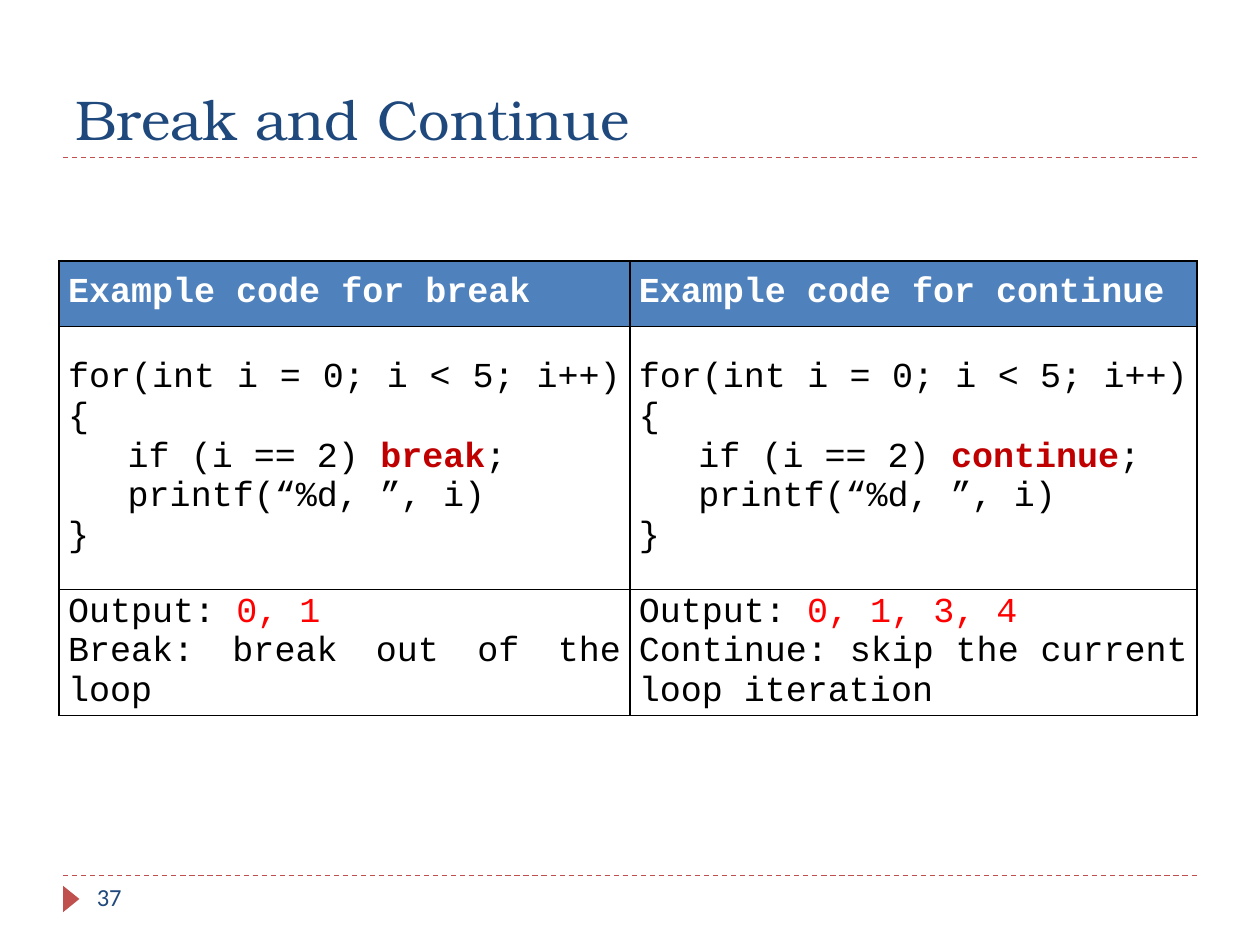
from lxml.etree import SubElement
from pptx import Presentation
from pptx.dml.color import RGBColor
from pptx.enum.dml import MSO_LINE
from pptx.enum.shapes import MSO_CONNECTOR, MSO_SHAPE
from pptx.enum.text import MSO_ANCHOR, PP_ALIGN
from pptx.oxml.ns import qn
from pptx.util import Inches, Pt

# Content: a cell is a list of paragraphs, a paragraph a list of (text, style) runs
TITLE = "Break and Continue"
PAGE_NUMBER = "37"
STYLES = {
    "heading": {"color": "FFFFFF", "bold": True},
    "code": {"color": "000000"},
    "keyword": {"color": "C00000", "bold": True},
    "result": {"color": "FF0000"},
}
EXAMPLES = [
    ("break", "0, 1", "Break: break out of the loop"),
    ("continue", "0, 1, 3, 4", "Continue: skip the current loop iteration"),
]
COLUMN_WIDTHS = [4.53, 4.5]
ROW_HEIGHTS = [0.52, 2.09, 0.95]
NAVY, RED, BLUE = "1F497D", "C0504D", "4F81BD"


def example_cells(keyword, result, meaning):
    """Return the heading, code and output cells of one column."""
    return [
        [[(f"Example code for {keyword}", "heading")]],
        [
            [("for(int i = 0; i < 5; i++){", "code")],
            [("  if (i == 2) ", "code"), (keyword, "keyword"), (";", "code")],
            [("  printf(“%d, ”, i)", "code")],
            [("}", "code")],
        ],
        [
            [("Output: ", "code"), (result, "result")],
            [(meaning, "code")],
        ],
    ]


def rgb(value):
    return RGBColor.from_string(value)


def add_run(paragraph, text, font="Courier New", size=20, color="000000", bold=False):
    run = paragraph.add_run()
    run.text = text
    run.font.name = font
    run.font.size = Pt(size)
    run.font.bold = bold
    run.font.color.rgb = rgb(color)


def add_text(slide, box, text, anchor=MSO_ANCHOR.TOP, **run_format):
    frame = slide.shapes.add_textbox(*map(Inches, box)).text_frame
    frame.word_wrap = True
    frame.vertical_anchor = anchor
    add_run(frame.paragraphs[0], text, **run_format)


def add_rule(slide, y):
    rule = slide.shapes.add_connector(
        MSO_CONNECTOR.STRAIGHT, Inches(0.5), Inches(y), Inches(9.5), Inches(y))
    rule.line.color.rgb = rgb(RED)
    rule.line.width = Pt(0.75)
    rule.line.dash_style = MSO_LINE.DASH
    SubElement(rule._element.spPr, qn("a:effectLst"))


def add_borders(cell):
    properties = cell._tc.get_or_add_tcPr()
    for position, side in enumerate(("lnL", "lnR", "lnT", "lnB")):
        line = SubElement(properties, qn(f"a:{side}"), w=str(Pt(1)))
        fill = SubElement(line, qn("a:solidFill"))
        SubElement(fill, qn("a:srgbClr"), val="000000")
        properties.insert(position, line)  # borders come before the fill


def fill_cell(cell, paragraphs, fill):
    cell.vertical_anchor = MSO_ANCHOR.MIDDLE
    cell.margin_left = cell.margin_right = Inches(0.07)
    cell.margin_top = cell.margin_bottom = 0
    if fill:
        cell.fill.solid()
        cell.fill.fore_color.rgb = rgb(fill)
    else:
        cell.fill.background()
    add_borders(cell)
    frame = cell.text_frame
    for index, runs in enumerate(paragraphs):
        paragraph = frame.add_paragraph() if index else frame.paragraphs[0]
        paragraph.alignment = PP_ALIGN.JUSTIFY
        if runs[0][0].startswith(" "):
            properties = paragraph._p.get_or_add_pPr()
            properties.set("marL", "0")
            properties.set("indent", str(Inches(0.14)))
        for text, style in runs:
            add_run(paragraph, text, **STYLES[style])


def main():
    presentation = Presentation()
    presentation.slide_width, presentation.slide_height = Inches(10), Inches(7.5)
    slide = presentation.slides.add_slide(presentation.slide_layouts[6])

    # Rules and page marker
    for y in (6.95, 1.25):
        add_rule(slide, y)
    marker = slide.shapes.add_shape(
        MSO_SHAPE.ISOSCELES_TRIANGLE, *map(Inches, (0.46, 7.07, 0.21, 0.13)))
    marker.rotation = 90
    marker.shadow.inherit = False
    marker.fill.solid()
    marker.fill.fore_color.rgb = rgb(RED)
    marker.line.fill.background()

    # Title and page number
    add_text(slide, (0.5, 0.17, 9, 1.08), TITLE, anchor=MSO_ANCHOR.BOTTOM,
             font="TeX Gyre Bonum", size=32, color=NAVY)
    add_text(slide, (0.67, 6.95, 2.17, 0.4), PAGE_NUMBER,
             font="Calibri", size=14, color=NAVY)

    # Comparison table
    table = slide.shapes.add_table(
        len(ROW_HEIGHTS), len(COLUMN_WIDTHS), Inches(0.47), Inches(2.07),
        Inches(sum(COLUMN_WIDTHS)), Inches(sum(ROW_HEIGHTS))).table
    table.horz_banding = False
    for row, height in zip(table.rows, ROW_HEIGHTS):
        row.height = Inches(height)
    for column, (width, example) in enumerate(zip(COLUMN_WIDTHS, EXAMPLES)):
        table.columns[column].width = Inches(width)
        for row, paragraphs in enumerate(example_cells(*example)):
            fill_cell(table.cell(row, column), paragraphs, None if row else BLUE)

    presentation.save("out.pptx")


if __name__ == "__main__":
    main()
